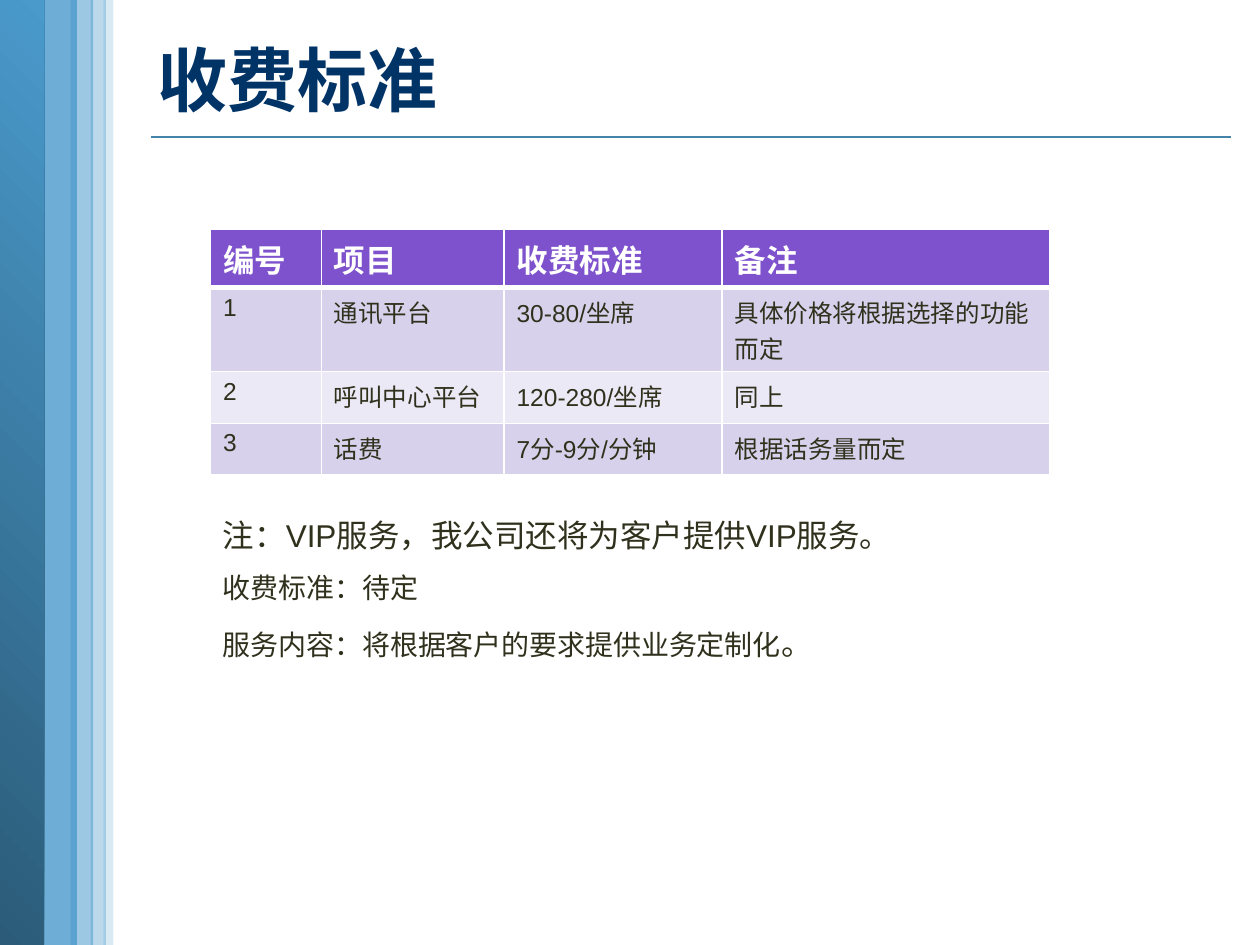
import pptx
import pptx.util
import pptx.dml.color
import pptx.enum.shapes
import pptx.enum.text
import pptx.oxml
import pptx.oxml.ns
from pptx.util import Inches

ACCENT = "4A9ACC"
INK = "30311D"
STRIPES = [
    (0.3, 0, 0.31, 7.53, 80),
    (0.82, -0.02, 0.08, 7.52, 20),
    (0.56, 0, 0.18, 7.51, 54),
    (0.72, 0, 0.12, 7.52, 37),
]
PRICES = [
    ("编号", "项目", "收费标准", "备注"),
    ("1", "通讯平台", "30-80/坐席", "具体价格将根据选择的功能而定"),
    ("2", "呼叫中心平台", "120-280/坐席", "同上"),
    ("3", "话费", "7分-9分/分钟", "根据话务量而定"),
]
COLUMN_WIDTHS = (0.88, 1.45, 1.73, 2.6)
NOTES = [
    (1, [("注：VIP服务，我公司还将为客户提供VIP服务。", 18)]),
    (1.5, [("收费标准：待定", 16)]),
    (1.5, [("服务内容：将根据客户的要求提供业务定制化", 16), ("。", 18)]),
]


def rgb(value):
    return pptx.dml.color.RGBColor.from_string(value)


def add_run(para, text, size, color, bold=False):
    span = para.add_run()
    span.text = text
    span.font.name = "Arial"
    span.font.size = pptx.util.Pt(size)
    span.font.bold = bold
    span.font.color.rgb = rgb(color)


def modify_color(parent, index, kind, percent):
    color = parent.findall(".//" + pptx.oxml.ns.qn("a:srgbClr"))[index]
    color.append(pptx.oxml.parse_xml(
        f'<a:{kind} {pptx.oxml.ns.nsdecls("a")} val="{percent * 1000}"/>'))


def add_bar(page, left, top, width, height):
    bar = page.shapes.add_shape(
        pptx.enum.shapes.MSO_SHAPE.RECTANGLE,
        Inches(left), Inches(top), Inches(width), Inches(height))
    bar.shadow.inherit = False
    bar.line.fill.background()
    return bar


def add_stripe(page, left, top, width, height, opacity):
    stripe = add_bar(page, left, top, width, height)
    stripe.fill.solid()
    stripe.fill.fore_color.rgb = rgb(ACCENT)
    modify_color(stripe.element.spPr, 0, "alpha", opacity)


def add_gradient_bar(page):
    bar = add_bar(page, -0.01, 0, 0.36, 7.5)
    bar.fill.gradient()
    bar.fill.gradient_angle = 45
    for stop, position in zip(bar.fill.gradient_stops, (0, 1)):
        stop.color.rgb = rgb(ACCENT)
        stop.position = position
    modify_color(bar.element.spPr, 0, "shade", 30)


def add_rule(page):
    rule = page.shapes.add_connector(
        pptx.enum.shapes.MSO_CONNECTOR.STRAIGHT,
        Inches(1.2), Inches(1.09), Inches(9.77), Inches(1.09))
    rule.line.color.rgb = rgb("4582A7")
    rule.line.width = pptx.util.Pt(1)
    rule.element.spPr.append(pptx.oxml.parse_xml(
        f'<a:effectLst {pptx.oxml.ns.nsdecls("a")}/>'))


def set_title(page, text):
    title = page.shapes.title
    title.left, title.top = Inches(1.15), Inches(0.07)
    title.width, title.height = Inches(8.7), Inches(1.11)
    title.text_frame.vertical_anchor = pptx.enum.text.MSO_ANCHOR.MIDDLE
    para = title.text_frame.paragraphs[0]
    para.alignment = pptx.enum.text.PP_ALIGN.LEFT
    add_run(para, text, 40, "003366", True)


def set_borders(cell, top, bottom):
    properties = cell._tc.get_or_add_tcPr()
    for side, points in (("L", 1), ("R", 1), ("T", top), ("B", bottom)):
        properties.append(pptx.oxml.parse_xml(
            f'<a:ln{side} {pptx.oxml.ns.nsdecls("a")} w="{pptx.util.Pt(points)}">'
            '<a:solidFill><a:srgbClr val="FFFFFF"/></a:solidFill>'
            f'</a:ln{side}>'))


def add_price_table(page):
    table = page.shapes.add_table(
        len(PRICES), len(COLUMN_WIDTHS),
        Inches(1.67), Inches(1.82), Inches(6.67), Inches(1.64)).table
    for column, width in zip(table.columns, COLUMN_WIDTHS):
        column.width = Inches(width)
    for row, texts in enumerate(PRICES):
        table.rows[row].height = Inches(0.41)
        header = row == 0
        fill = "7E52CC" if header else ("ECE9F6", "D8D1EC")[row % 2]
        for column, text in enumerate(texts):
            cell = table.cell(row, column)
            set_borders(cell, 3 if row == 1 else 1, 3 if header else 1)
            cell.fill.solid()
            cell.fill.fore_color.rgb = rgb(fill)
            add_run(cell.text_frame.paragraphs[0], text,
                    18 if header else 14, "FFFFFF" if header else INK, header)


def add_notes_box(page):
    box = page.shapes.add_textbox(
        Inches(1.67), Inches(4.05), Inches(6.67), Inches(1.26))
    frame = box.text_frame
    frame.word_wrap = True
    frame.auto_size = pptx.enum.text.MSO_AUTO_SIZE.SHAPE_TO_FIT_TEXT
    for index, (spacing, spans) in enumerate(NOTES):
        para = frame.add_paragraph() if index else frame.paragraphs[0]
        para.line_spacing = float(spacing)
        for text, size in spans:
            add_run(para, text, size, INK)


def main():
    deck = pptx.Presentation()
    deck.slide_width, deck.slide_height = Inches(10), Inches(7.5)
    page = deck.slides.add_slide(deck.slide_layouts[5])
    add_rule(page)
    add_stripe(page, *STRIPES[0])
    add_gradient_bar(page)
    for stripe in STRIPES[1:]:
        add_stripe(page, *stripe)
    set_title(page, "收费标准")
    add_price_table(page)
    add_notes_box(page)
    deck.save("out.pptx")


if __name__ == "__main__":
    main()
